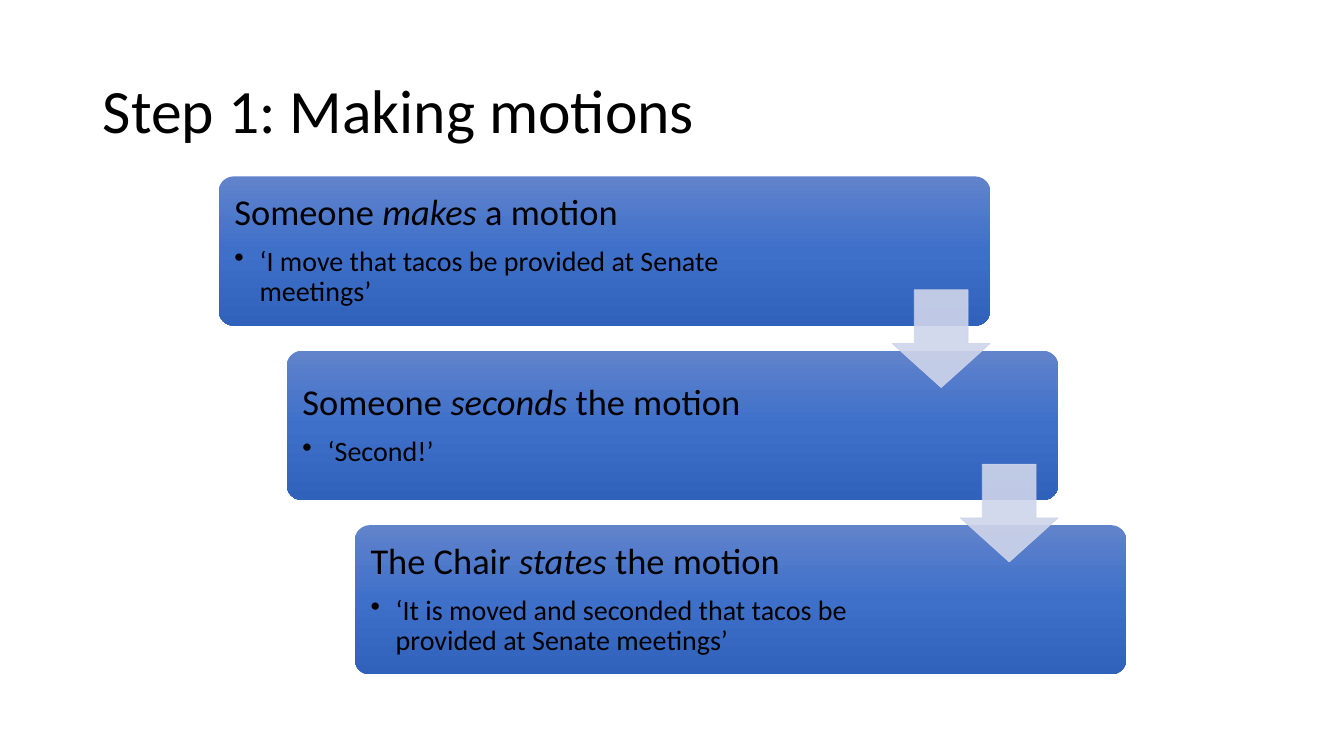
import pptx
import pptx.util
import pptx.oxml
import pptx.oxml.ns
import pptx.dml.color
import pptx.enum.shapes
import pptx.enum.text

Inches, Pt = pptx.util.Inches, pptx.util.Pt
SHAPES = pptx.enum.shapes.MSO_SHAPE
MIDDLE = pptx.enum.text.MSO_ANCHOR.MIDDLE
LEFT = pptx.enum.text.PP_ALIGN.LEFT

# Content
TITLE = "Step 1: Making motions"
STEPS = [  # before, stressed word, after, example, text width
    ("Someone ", "makes", " a motion",
     "‘I move that tacos be provided at Senate meetings’", 6.05),
    ("Someone ", "seconds", " the motion", "‘Second!’", 5.92),
    ("The Chair ", "states", " the motion",
     "‘It is moved and seconded that tacos be provided at Senate meetings’", 5.92),
]

# Format
COLORS = {"text": "000000", "arrow": "CFD5EA",
          "top": "6183CB", "middle": "3E70CA", "bottom": "3062BB"}
FONT = "Calibri"
HEADING = {"line_spacing": 0.9, "space_after": Pt(10), "alignment": LEFT}
EXAMPLE = {"line_spacing": 0.9, "space_after": Pt(3), "alignment": LEFT}
FRAME = {"word_wrap": True, "vertical_anchor": MIDDLE,
         "margin_left": Inches(0.11), "margin_right": Inches(0.11),
         "margin_top": Inches(0.11), "margin_bottom": Inches(0.11)}

# Layout, in inches
CARD_LEFT, CARD_TOP, CARD_WIDTH, CARD_HEIGHT = 2.17, 1.75, 7.65, 1.48
STEP_X, STEP_Y = 0.675, 1.73
INSET = 0.045
ARROW_LEFT, ARROW_TOP, ARROW_SIZE = 8.85, 2.875, 0.97


def set_values(target, values):
    for name, value in values.items():
        setattr(target, name, value)


def rgb(name):
    return pptx.dml.color.RGBColor.from_string(COLORS[name])


def add_span(para, text, size, italic=False):
    span = para.add_run()
    span.text = text
    set_values(span.font, {"name": FONT, "size": Pt(size), "italic": italic})
    span.font.color.rgb = rgb("text")


def add_preset(page, kind, left, top, width, height, adjustments):
    shape = page.shapes.add_shape(
        kind, Inches(left), Inches(top), Inches(width), Inches(height))
    shape.shadow.inherit = False
    for index, value in enumerate(adjustments):
        shape.adjustments[index] = value
    return shape


def fill_gradient(shape):
    stops = "".join(
        f'<a:gs pos="{position}"><a:srgbClr val="{COLORS[name]}"/></a:gs>'
        for position, name in ((0, "top"), (50000, "middle"), (100000, "bottom")))
    gradient = pptx.oxml.parse_xml(
        f'<a:gradFill {pptx.oxml.ns.nsdecls("a")}><a:gsLst>{stops}</a:gsLst>'
        '<a:lin ang="5400000" scaled="0"/></a:gradFill>')
    shape.element.spPr.find(pptx.oxml.ns.qn("a:prstGeom")).addnext(gradient)


def add_bullet(para):
    properties = para._p.get_or_add_pPr()
    properties.set("marL", str(Inches(0.25)))
    properties.set("indent", str(Inches(-0.25)))
    properties.append(pptx.oxml.parse_xml(
        f'<a:buChar {pptx.oxml.ns.nsdecls("a")} char="•"/>'))


def add_card(page, index, step):
    before, stressed, after, example, text_width = step
    left, top = CARD_LEFT + index * STEP_X, CARD_TOP + index * STEP_Y
    card = add_preset(page, SHAPES.ROUNDED_RECTANGLE,
                      left, top, CARD_WIDTH, CARD_HEIGHT, [0.1])
    fill_gradient(card)
    card.line.fill.background()

    box = page.shapes.add_textbox(
        Inches(left + INSET), Inches(top + INSET),
        Inches(text_width), Inches(CARD_HEIGHT - 2 * INSET))
    set_values(box.text_frame, FRAME)
    para = box.text_frame.paragraphs[0]
    set_values(para, HEADING)
    for text, italic in ((before, False), (stressed, True), (after, False)):
        add_span(para, text, 26, italic)
    para = box.text_frame.add_paragraph()
    set_values(para, EXAMPLE)
    add_bullet(para)
    add_span(para, example, 20)


def add_arrow(page, index):
    arrow = add_preset(page, SHAPES.DOWN_ARROW,
                       ARROW_LEFT + index * STEP_X, ARROW_TOP + index * STEP_Y,
                       ARROW_SIZE, ARROW_SIZE, [0.55, 0.45])
    arrow.fill.solid()
    arrow.fill.fore_color.rgb = rgb("arrow")
    arrow.line.color.rgb = rgb("arrow")
    arrow.line.width = Pt(0.5)
    # Fill and line are both 90% opaque
    for color in arrow.element.spPr.iter(pptx.oxml.ns.qn("a:srgbClr")):
        color.append(pptx.oxml.parse_xml(
            f'<a:alpha {pptx.oxml.ns.nsdecls("a")} val="90000"/>'))


def main():
    deck = pptx.Presentation()
    set_values(deck, {"slide_width": Inches(13.33), "slide_height": Inches(7.5)})
    page = deck.slides.add_slide(deck.slide_layouts[5])

    # Title
    title = page.shapes.title
    set_values(title, {"left": Inches(0.92), "top": Inches(0.4),
                       "width": Inches(11.5), "height": Inches(1.45)})
    set_values(title.text_frame, {"vertical_anchor": MIDDLE, "word_wrap": True})
    para = title.text_frame.paragraphs[0]
    set_values(para, {"line_spacing": 0.9, "alignment": LEFT})
    add_span(para, TITLE, 44)

    # Staggered cards, then the arrows between them
    for index, step in enumerate(STEPS):
        add_card(page, index, step)
    for index in range(len(STEPS) - 1):
        add_arrow(page, index)

    deck.save("out.pptx")


if __name__ == "__main__":
    main()
